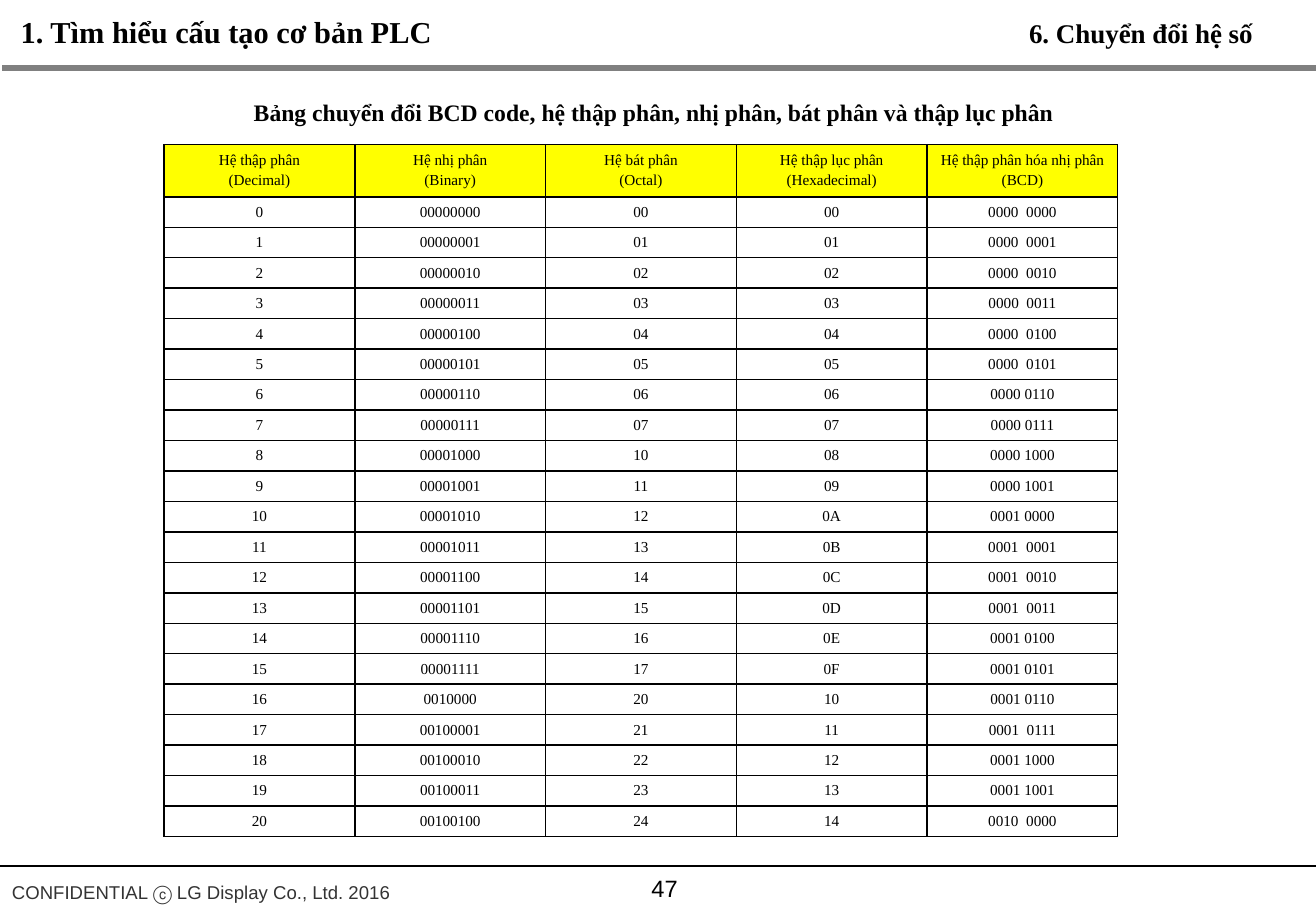
from dataclasses import dataclass

from lxml import etree
from pptx import Presentation
from pptx.dml.color import RGBColor
from pptx.enum.shapes import MSO_CONNECTOR
from pptx.enum.text import MSO_ANCHOR, MSO_AUTO_SIZE, PP_ALIGN
from pptx.oxml.ns import qn
from pptx.util import Pt

STRAIGHT = MSO_CONNECTOR.STRAIGHT
LEFT, CENTER = PP_ALIGN.LEFT, PP_ALIGN.CENTER
TOP, MIDDLE = MSO_ANCHOR.TOP, MSO_ANCHOR.MIDDLE
NO_AUTOFIT = MSO_AUTO_SIZE.NONE

EMU_PER_PX = 9144  # 100 px to the inch
TITLE_ONLY_LAYOUT = 5


@dataclass(frozen=True)
class Theme:
    serif: str = "Times New Roman"
    sans: str = "Arial"
    black: str = "000000"
    gray: str = "808080"
    footer_gray: str = "333333"
    yellow: str = "FFFF00"
    title_size: int = 18
    section_size: int = 16
    caption_size: int = 14
    page_size: int = 14
    footer_size: int = 11
    table_size: int = 9


THEME = Theme()

HEADERS = [
    "Hệ thập phân\n(Decimal)",
    "Hệ nhị phân\n(Binary)",
    "Hệ bát phân\n(Octal)",
    "Hệ thập lục phân\n(Hexadecimal)",
    "Hệ thập phân hóa nhị phân\n(BCD)",
]
LAST_NUMBER = 20
# The slide prints its own binary codes from 16 on
PRINTED_BINARY = {16: "0010000", 17: "00100001", 18: "00100010",
                  19: "00100011", 20: "00100100"}
WIDE_BCD = {0, 1, 2, 3, 4, 5, 11, 12, 13, 17, 20}


def px(length):
    return length * EMU_PER_PX


def write_text(frame, text, *, size, font=THEME.serif, color=THEME.black,
               bold=False, align=LEFT, line_spacing=1.0, space_before=0):
    """Fill a text frame, one paragraph for each line of text."""
    for index, line in enumerate(text.split("\n")):
        paragraph = frame.add_paragraph() if index else frame.paragraphs[0]
        paragraph.alignment = align
        paragraph.line_spacing = line_spacing
        paragraph.space_before = Pt(space_before if index else 0)
        run = paragraph.add_run()
        run.text = line
        run.font.name = font
        run.font.size = Pt(size)
        run.font.bold = bold
        run.font.color.rgb = RGBColor.from_string(color)


def place_title(slide, text, left, top, width, height):
    title = slide.shapes.title
    title.left, title.top = px(left), px(top)
    title.width, title.height = px(width), px(height)
    frame = title.text_frame
    frame.auto_size = NO_AUTOFIT
    frame.word_wrap = False
    frame.vertical_anchor = TOP
    write_text(frame, text, size=THEME.title_size, bold=True)


def add_label(slide, text, left, top, width, height, *, anchor=TOP, **text_format):
    box = slide.shapes.add_textbox(px(left), px(top), px(width), px(height))
    box.text_frame.word_wrap = False
    box.text_frame.vertical_anchor = anchor
    write_text(box.text_frame, text, **text_format)


def add_rule(slide, left, right, y, color, weight):
    line = slide.shapes.add_connector(STRAIGHT, px(left), px(y), px(right), px(y))
    line.line.color.rgb = RGBColor.from_string(color)
    line.line.width = Pt(weight)
    properties = line._element.spPr
    etree.SubElement(properties, qn("a:effectLst"))


def set_borders(cell, color, weight):
    properties = cell._tc.get_or_add_tcPr()
    for index, side in enumerate(("a:lnL", "a:lnR", "a:lnT", "a:lnB")):
        border = etree.Element(qn(side), w=str(Pt(weight)))
        fill = etree.SubElement(border, qn("a:solidFill"))
        etree.SubElement(fill, qn("a:srgbClr"), val=color)
        properties.insert(index, border)


def number_row(number):
    """Return one number in the five systems of the table."""
    tens, units = divmod(number, 10)
    gap = "  " if number in WIDE_BCD else " "
    return [
        str(number),
        PRINTED_BINARY.get(number, f"{number:08b}"),
        f"{number:02o}",
        f"{number:02X}",
        f"{tens:04b}{gap}{units:04b}",
    ]


def add_conversion_table(slide, left, top, column_width, header_height, row_height):
    rows = [HEADERS] + [number_row(number) for number in range(LAST_NUMBER + 1)]
    width = column_width * len(HEADERS)
    height = header_height + row_height * (len(rows) - 1)
    table = slide.shapes.add_table(len(rows), len(HEADERS), px(left), px(top),
                                   px(width), px(height)).table
    table.first_row = table.horz_banding = False
    for column in table.columns:
        column.width = px(column_width)
    for row_index, values in enumerate(rows):
        is_header = row_index == 0
        table.rows[row_index].height = px(header_height if is_header else row_height)
        for column_index, value in enumerate(values):
            cell = table.cell(row_index, column_index)
            cell.vertical_anchor = MIDDLE
            if is_header:
                cell.fill.solid()
                cell.fill.fore_color.rgb = RGBColor.from_string(THEME.yellow)
            else:
                cell.fill.background()
            set_borders(cell, THEME.black, 1)
            write_text(cell.text_frame, value, size=THEME.table_size,
                       align=CENTER, space_before=1.8)


def main():
    presentation = Presentation()
    presentation.slide_width, presentation.slide_height = px(1083), px(750)
    slide = presentation.slides.add_slide(
        presentation.slide_layouts[TITLE_ONLY_LAYOUT])

    # Header
    add_rule(slide, 2, 1083, 56, THEME.gray, 3)
    place_title(slide, "1. Tìm hiểu cấu tạo cơ bản PLC", 7, 6, 362, 40)
    add_label(slide, "6. Chuyển đổi hệ số", 837, 9, 207, 37,
              size=THEME.section_size, bold=True)

    # Conversion table and its caption
    add_label(slide, "Bảng chuyển đổi BCD code, hệ thập phân, nhị phân, "
              "bát phân và thập lục phân", 199, 76, 683, 34,
              size=THEME.caption_size, bold=True)
    add_conversion_table(slide, 135, 119, 157, 43, 25)

    # Footer
    add_rule(slide, 0, 1083, 713, THEME.black, 0.75)
    add_label(slide, "CONFIDENTIAL ⓒ LG Display Co., Ltd. 2016", 0, 717, 334, 30,
              size=THEME.footer_size, font=THEME.sans,
              color=THEME.footer_gray, line_spacing=1.2)
    add_label(slide, "47", 443, 706, 208, 50, anchor=MIDDLE,
              size=THEME.page_size, font=THEME.sans, align=CENTER)

    presentation.save("out.pptx")


if __name__ == "__main__":
    main()
